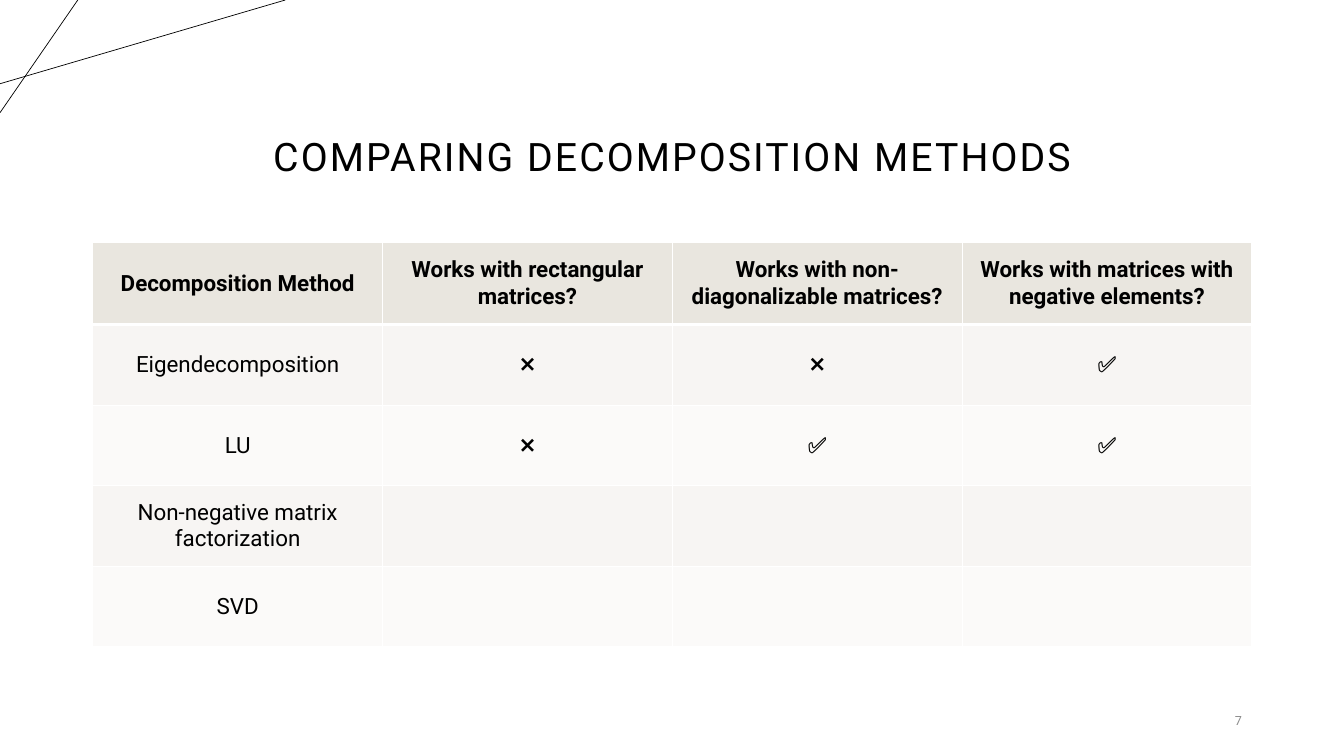
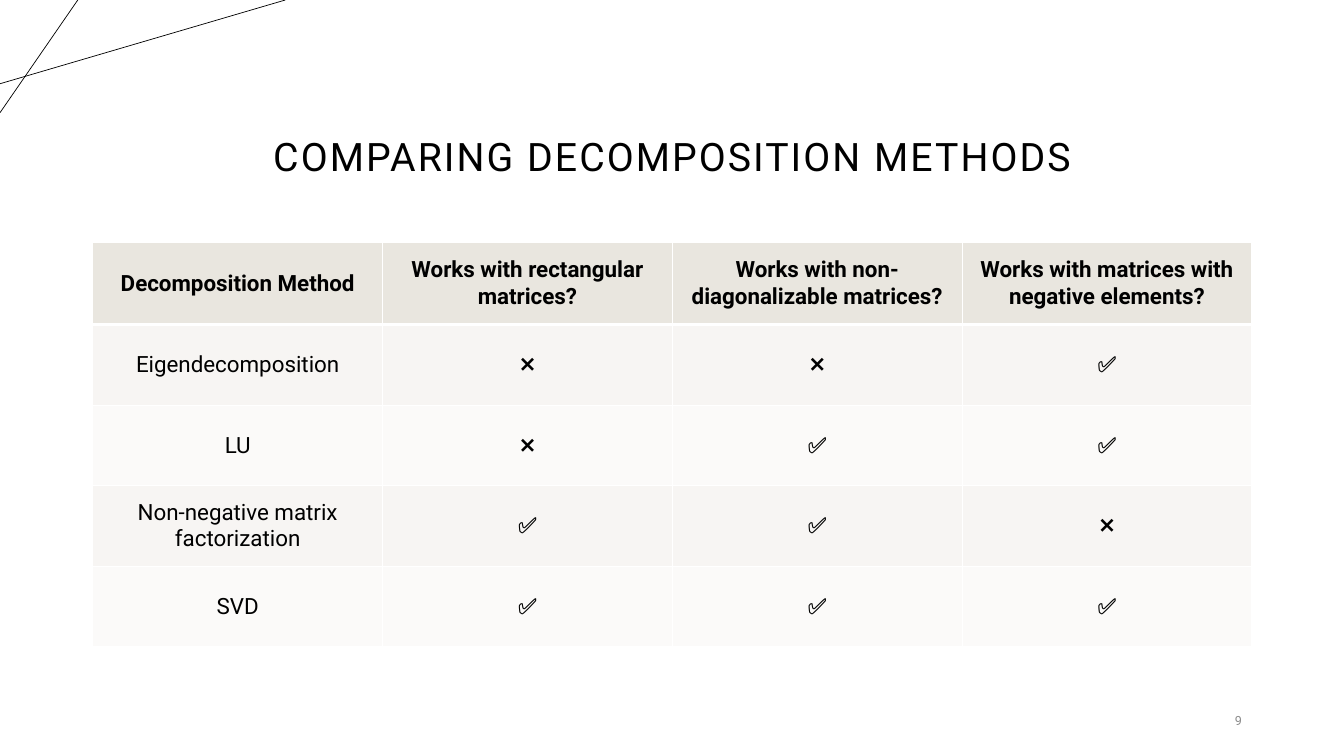
from lxml.etree import SubElement
from pptx import Presentation
from pptx.dml.color import RGBColor
from pptx.enum.shapes import MSO_CONNECTOR
from pptx.enum.text import MSO_ANCHOR as Anchor, PP_ALIGN as Align
from pptx.oxml.ns import qn
from pptx.util import Cm, Pt

BLACK = RGBColor(0x00, 0x00, 0x00)
WHITE = RGBColor(0xFF, 0xFF, 0xFF)
GREY = RGBColor(0x8C, 0x8C, 0x8C)
HEAD = RGBColor(0xE9, 0xE6, 0xDF)
BANDS = [RGBColor(0xFB, 0xFA, 0xF9), RGBColor(0xF7, 0xF5, 0xF3)]

FONT = "Roboto"
LEFT, WIDTH = 2.34, 29.21
THIN, THICK = 1, 3
YES, NO = "✅", "❌"

TITLE = "COMPARING DECOMPOSITION METHODS"
HEADER = [
    "Decomposition Method",
    "Works with rectangular matrices?",
    "Works with non-diagonalizable matrices?",
    "Works with matrices with negative elements?",
]
METHODS = [
    ("Eigendecomposition", [NO, NO, YES]),
    ("LU", [NO, YES, YES]),
    ("Non-negative matrix factorization", [YES, YES, NO]),
    ("SVD", [YES, YES, YES]),
]


class Deck:
    def __init__(self):
        self.prs = Presentation()
        self.prs.slide_width, self.prs.slide_height = Cm(33.87), Cm(19.05)
        self.slide = None

    def start(self, title, number):
        """Add a slide with the corner lines, title and page number."""
        layout = self.prs.slide_layouts.get_by_name("Title Only")
        self.slide = self.prs.slides.add_slide(layout)
        self.line(0, 2.11, 7.19, 0)
        self.line(1.96, 0, 0, 2.84)
        self.title(title)
        self.page(number)

    def line(self, x1, y1, x2, y2):
        line = self.slide.shapes.add_connector(
            MSO_CONNECTOR.STRAIGHT, Cm(x1), Cm(y1), Cm(x2), Cm(y2))
        line.line.color.rgb = BLACK
        line.line.width = Pt(0.5)
        SubElement(line._element.spPr, qn("a:effectLst"))

    def text(self, frame, words, size, align, color=BLACK, bold=False):
        para = frame.paragraphs[0]
        para.alignment = align
        run = para.add_run()
        run.text = words
        font = run.font
        font.name, font.size, font.bold = FONT, Pt(size), bold
        font.color.rgb = color
        return run

    def title(self, words):
        box = self.slide.shapes.title
        box.left, box.top = Cm(LEFT), Cm(0.99)
        box.width, box.height = Cm(WIDTH), Cm(3.68)
        frame = box.text_frame
        frame.vertical_anchor = Anchor.BOTTOM
        run = self.text(frame, words, 28, Align.CENTER)
        run.font._element.set("spc", "150")
        frame.paragraphs[0].line_spacing = 0.9

    def page(self, number):
        box = self.slide.shapes.add_textbox(
            Cm(28.8), Cm(17.65), Cm(2.75), Cm(1.02))
        frame = box.text_frame
        frame.word_wrap = True
        frame.vertical_anchor = Anchor.MIDDLE
        self.text(frame, str(number), 9, Align.RIGHT, GREY)

    def edges(self, cell, top, bottom):
        """Draw the white borders of a cell, widths in points."""
        props = cell._tc.get_or_add_tcPr()
        for side, width in zip("LRTB", (THIN, THIN, top, bottom)):
            edge = SubElement(props, qn(f"a:ln{side}"), w=str(Pt(width)))
            fill = SubElement(edge, qn("a:solidFill"))
            SubElement(fill, qn("a:srgbClr"), val=str(WHITE))

    def table(self, rows):
        count = len(rows[0])
        table = self.slide.shapes.add_table(
            len(rows), count, Cm(LEFT), Cm(6.1), Cm(WIDTH), Cm(10.2)).table
        for col in table.columns:
            col.width = Cm(WIDTH / count)
        for i, row in enumerate(rows):
            first = i == 0
            table.rows[i].height = Cm(2.08 if first else 2.03)
            for j, words in enumerate(row):
                cell = table.cell(i, j)
                self.edges(cell, THICK if i == 1 else THIN,
                           THICK if first else THIN)
                cell.fill.solid()
                cell.fill.fore_color.rgb = HEAD if first else BANDS[i % 2]
                cell.vertical_anchor = Anchor.MIDDLE
                if words:
                    self.text(cell.text_frame, words, 16, Align.CENTER,
                              bold=first)


def main():
    deck = Deck()
    for number, known in ((7, 2), (9, 4)):
        deck.start(TITLE, number)
        rows = [[name, *(marks if i < known else [""] * len(marks))]
                for i, (name, marks) in enumerate(METHODS)]
        deck.table([HEADER, *rows])
    deck.prs.save("out.pptx")


if __name__ == "__main__":
    main()
